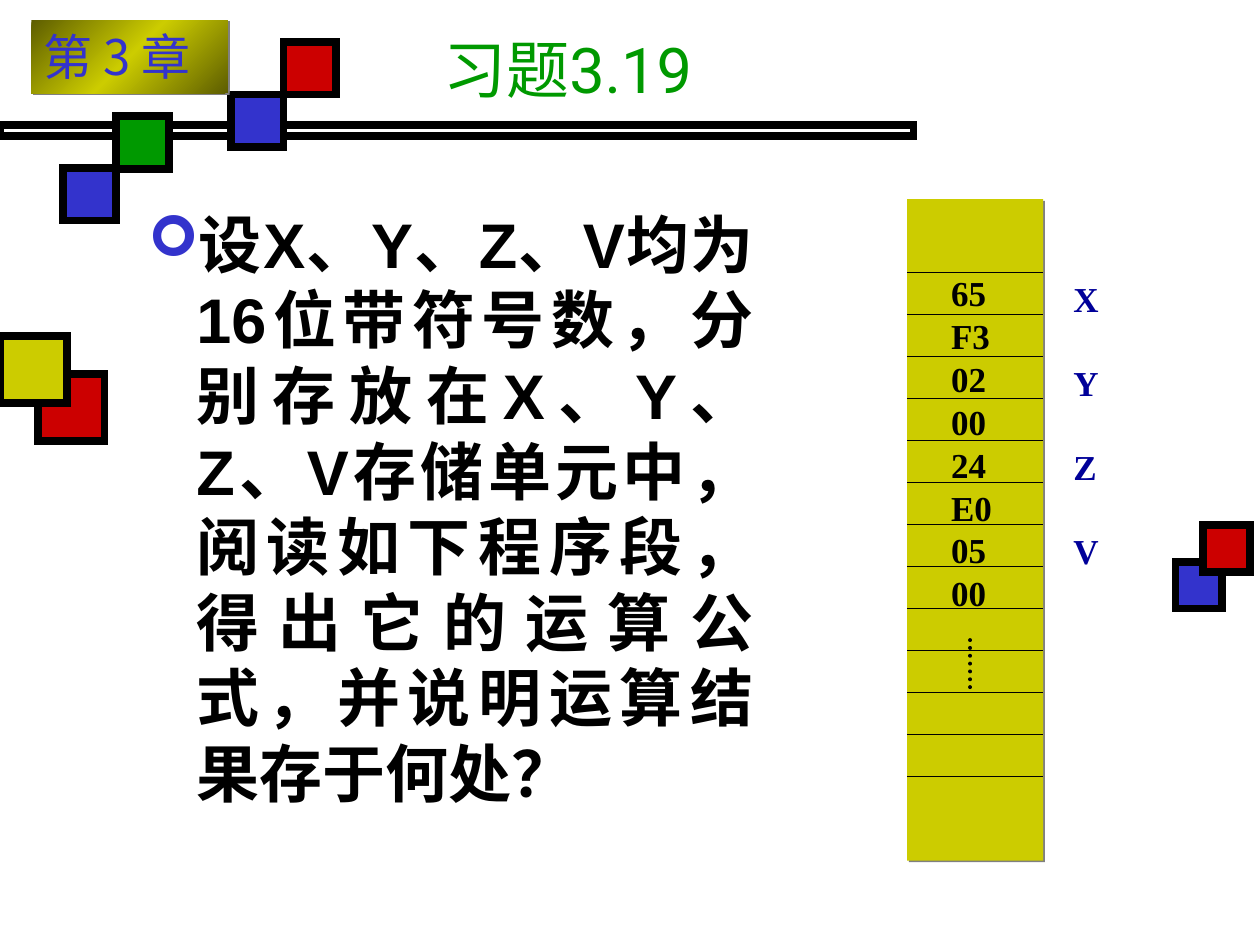
from lxml import etree
from pptx import Presentation
from pptx.dml.color import RGBColor
from pptx.enum.dml import MSO_LINE_DASH_STYLE as Dash
from pptx.enum.shapes import MSO_CONNECTOR as Connector, MSO_SHAPE as Shape
from pptx.enum.text import MSO_ANCHOR as Anchor, PP_ALIGN as Align
from pptx.oxml import parse_xml
from pptx.oxml.ns import nsdecls, qn
from pptx.util import Inches, Pt

BLACK, BLUE, RED, GREEN, YELLOW = "000000", "3333CC", "CC0000", "009900", "CCCC00"
NAVY, OLIVE, GRAY = "000099", "5E5E00", "808080"
CJK_FONT = "Noto Sans CJK JP"


def color(hex_text):
    return RGBColor.from_string(hex_text)


class SlideBuilder:
    def __init__(self, slide):
        self.slide = slide

    def box(self, left, top, width, height, fill=None, outline=None):
        shape = self.slide.shapes.add_shape(
            Shape.RECTANGLE, Inches(left), Inches(top), Inches(width), Inches(height))
        shape.shadow.inherit = False
        if fill:
            shape.fill.solid()
            shape.fill.fore_color.rgb = color(fill)
        else:
            shape.fill.background()
        if outline:
            shape.line.color.rgb = color(outline)
            shape.line.width = Pt(4.5)
            outline_xml = shape._element.spPr.find(qn("a:ln"))
            etree.SubElement(outline_xml, qn("a:miter"), lim="800000")
        else:
            shape.line.fill.background()
        return shape

    def drop_shadow(self, shape):
        effects = shape._element.spPr.find(qn("a:effectLst"))
        effects.append(parse_xml(
            f'<a:outerShdw {nsdecls("a")} dist="17780" dir="2700000">'
            f'<a:srgbClr val="{GRAY}"/></a:outerShdw>'))

    def diagonal_gradient(self, shape, edge, middle):
        stops = "".join(
            f'<a:gs pos="{position}"><a:srgbClr val="{tone}"/></a:gs>'
            for position, tone in ((0, edge), (50000, middle), (100000, edge)))
        properties = shape._element.spPr
        properties.replace(properties.find(qn("a:noFill")), parse_xml(
            f'<a:gradFill {nsdecls("a")}><a:gsLst>{stops}</a:gsLst>'
            '<a:lin ang="2700000" scaled="0"/></a:gradFill>'))

    def line(self, start, end, width=0.75, dash=None):
        connector = self.slide.shapes.add_connector(
            Connector.STRAIGHT, *(Inches(value) for value in (*start, *end)))
        connector.line.color.rgb = color(BLACK)
        connector.line.width = Pt(width)
        if dash:
            connector.line.dash_style = dash
            connector._element.spPr.find(qn("a:ln")).set("cap", "rnd")
        etree.SubElement(connector._element.spPr, qn("a:effectLst"))

    def style_text(self, shape, lines, size, font, tone, bold=False, align=Align.LEFT,
                   anchor=Anchor.TOP, wrap=True, spacing=None, gap=0):
        frame = shape.text_frame
        frame.word_wrap = wrap
        frame.vertical_anchor = anchor
        frame.text = "\n".join(lines)
        for index, paragraph in enumerate(frame.paragraphs):
            paragraph.alignment = align
            paragraph._p.get_or_add_pPr().set("hangingPunct", "0")
            if spacing:
                paragraph.line_spacing = spacing
            if index:
                paragraph.space_before = Pt(gap)
            for run in paragraph.runs:
                run.font.size, run.font.bold = Pt(size), bold
                run.font.name = font
                run.font.color.rgb = color(tone)
                east_asian = parse_xml(f'<a:ea {nsdecls("a")} typeface="{CJK_FONT}"/>')
                run.font._element.find(qn("a:latin")).addnext(east_asian)

    def text(self, left, top, width, height, lines, *style, **options):
        shape = self.slide.shapes.add_textbox(
            Inches(left), Inches(top), Inches(width), Inches(height))
        self.style_text(shape, lines, *style, **options)
        return shape

    def bullet(self, paragraph, character, tone, percent, indent):
        properties = paragraph._p.get_or_add_pPr()
        properties.set("marL", str(Inches(indent)))
        properties.set("indent", str(-Inches(indent)))
        for xml in (f'<a:buClr {nsdecls("a")}><a:srgbClr val="{tone}"/></a:buClr>',
                    f'<a:buSzPct {nsdecls("a")} val="{percent * 1000}"/>',
                    f'<a:buFont {nsdecls("a")} typeface="Wingdings"/>',
                    f'<a:buChar {nsdecls("a")} char="{character}"/>'):
            properties.append(parse_xml(xml))


def add_decoration(builder):
    builder.box(0, 0.99, 7.25, 0.09, outline=BLACK)
    for left, top, size, fill in (
            (9.33, 4.46, 0.37, BLUE), (9.55, 4.17, 0.37, RED),
            (1.83, 0.75, 0.42, BLUE), (0.5, 1.33, 0.42, BLUE),
            (0.92, 0.92, 0.42, GREEN), (2.25, 0.33, 0.42, RED),
            (0.3, 2.97, 0.53, RED), (0, 2.67, 0.53, YELLOW)):
        builder.box(left, top, size, size, fill, BLACK)
    chapter = builder.box(0.25, 0.16, 1.56, 0.58)
    builder.diagonal_gradient(chapter, OLIVE, YELLOW)
    builder.drop_shadow(chapter)
    builder.style_text(chapter, ["第 3 章"], 28, CJK_FONT, BLUE, wrap=False)


def add_exercise(builder):
    builder.text(3.42, 0.08, 6.58, 0.92, ["习题3.19"], 36, "Roboto", GREEN,
                 align=Align.JUSTIFY, anchor=Anchor.MIDDLE)
    question = ("设X、Y、Z、V均为16位带符号数，分别存放在X、Y、Z、V存储单元中，"
                "阅读如下程序段，得出它的运算公式，并说明运算结果存于何处？")
    body = builder.text(1.08, 1.58, 5, 5.17, [question], 36, "Arial", BLACK, bold=True,
                        align=Align.JUSTIFY, spacing=Pt(43.2))
    builder.bullet(body.text_frame.paragraphs[0], "➢", BLUE, 90, 0.38)


def add_memory(builder):
    left, width, first_row, row_height = 7.2, 1.08, 2.165, 1 / 3
    builder.drop_shadow(builder.box(left, 1.58, width, 5.25, YELLOW))
    for row in range(13):
        y = first_row + row * row_height
        builder.line((left, y), (left + width, y))
    builder.text(8.42, 2.15, 0.4, 2.44, "XYZV", 20, "Times New Roman", NAVY,
                 bold=True, wrap=False, gap=24)
    values = ["65", "F3", "02", "00", "24", "E0", "05", "00"]
    builder.text(7.45, 2.25, 0.67, 2.99, values, 20, "Times New Roman", BLACK,
                 bold=True, spacing=0.5, gap=12.5)
    builder.line((7.7, 5.08), (7.7, 5.5), 2.25, Dash.ROUND_DOT)


def main():
    presentation = Presentation()
    presentation.slide_width, presentation.slide_height = Inches(10), Inches(7.5)
    builder = SlideBuilder(presentation.slides.add_slide(presentation.slide_layouts[6]))
    add_decoration(builder)
    add_exercise(builder)
    add_memory(builder)
    presentation.save("out.pptx")


if __name__ == "__main__":
    main()
